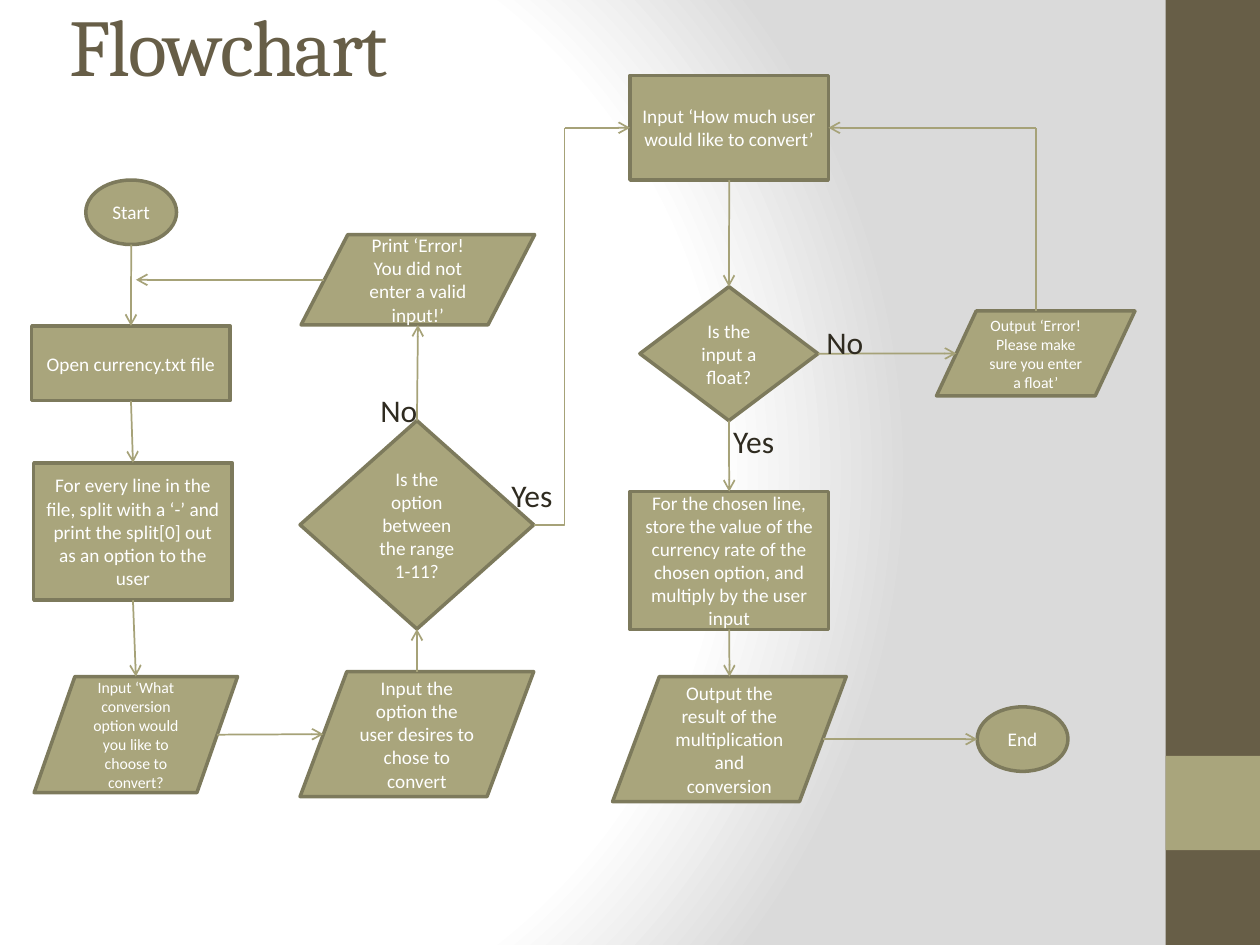
from dataclasses import dataclass

from lxml.etree import SubElement
from pptx import Presentation
from pptx.dml.color import RGBColor
from pptx.enum.shapes import MSO_CONNECTOR, MSO_SHAPE
from pptx.enum.text import MSO_ANCHOR, MSO_AUTO_SIZE, PP_ALIGN
from pptx.oxml import parse_xml
from pptx.oxml.ns import nsdecls, qn
from pptx.util import Cm, Pt


@dataclass(frozen=True)
class Theme:
    brown: str = "675E47"
    olive: str = "A9A57C"
    outline: str = "7D7A5C"
    arrow: str = "A6A278"
    ink: str = "2F2B20"
    white: str = "FFFFFF"
    grey: str = "DADADA"
    heading_font: str = "Cambria"
    body_font: str = "Calibri"
    title_size: int = 46
    label_size: int = 18
    node_size: int = 11
    small_size: int = 9


theme = Theme()
TOP, LEFT, BOTTOM, RIGHT = range(4)


def write(frame, text, font, size, color, align):
    """Fill a text frame, one paragraph per line of text."""
    frame.word_wrap = True
    for number, line in enumerate(text.split("\n")):
        para = frame.add_paragraph() if number else frame.paragraphs[0]
        para.alignment = align
        span = para.add_run()
        span.text = line
        span.font.name = font
        span.font.size = Pt(size)
        span.font.color.rgb = RGBColor.from_string(color)


def side_point(shape, side):
    """Middle of a side; the slanted sides of a parallelogram sit further in."""
    slanted = shape.auto_shape_type == MSO_SHAPE.FLOWCHART_DATA
    inset = 0.1 if slanted else 0
    across = {TOP: 0.5, LEFT: inset, BOTTOM: 0.5, RIGHT: 1 - inset}[side]
    down = {TOP: 0, LEFT: 0.5, BOTTOM: 1, RIGHT: 0.5}[side]
    return (int(shape.left + across * shape.width),
            int(shape.top + down * shape.height))


deck = Presentation()
deck.slide_width, deck.slide_height = Cm(25.4), Cm(19.05)
page = deck.slides.add_slide(deck.slide_layouts[5])

# Background: radial gradient from white to grey
page.background.fill.solid()
background = page.element.find(".//" + qn("p:bgPr"))
stops = [(0, theme.white), (75, theme.white), (100, theme.grey)]
stop_xml = "".join(
    f'<a:gs pos="{place * 1000}"><a:srgbClr val="{color}"/></a:gs>'
    for place, color in stops)
background.replace(background[0], parse_xml(
    f'<a:gradFill {nsdecls("a")} rotWithShape="1"><a:gsLst>{stop_xml}</a:gsLst>'
    '<a:path path="circle"><a:fillToRect l="20000" t="50000" r="100000" b="50000"/>'
    '</a:path></a:gradFill>'))

# Side band
for top, height, color in [(0, 19.05, theme.brown), (15.24, 1.9, theme.olive)]:
    band = page.shapes.add_shape(
        MSO_SHAPE.RECTANGLE, Cm(23.5), Cm(top), Cm(1.9), Cm(height))
    band.shadow.inherit = False
    band.fill.solid()
    band.fill.fore_color.rgb = RGBColor.from_string(color)
    band.line.fill.background()

# Title
title = page.shapes.title
title.left, title.top, title.width, title.height = Cm(1.14), Cm(-0.69), Cm(21.16), Cm(3.18)
title.text_frame.vertical_anchor = MSO_ANCHOR.MIDDLE
title.text_frame.auto_size = MSO_AUTO_SIZE.NONE
write(title.text_frame, "Flowchart", theme.heading_font, theme.title_size,
      theme.brown, PP_ALIGN.LEFT)
title.text_frame.paragraphs[0].runs[0].font._element.set("spc", "-100")

# Flowchart steps: name, kind, left, top, width, height, type size, text
terminal, process = MSO_SHAPE.FLOWCHART_CONNECTOR, MSO_SHAPE.RECTANGLE
decision, data = MSO_SHAPE.FLOWCHART_DECISION, MSO_SHAPE.FLOWCHART_DATA
normal, small = theme.node_size, theme.small_size
steps = [
    ("start", terminal, 1.73, 3.63, 1.83, 1.3, normal, "Start"),
    ("open", process, 0.64, 6.57, 4, 1.51, normal, "Open currency.txt file"),
    ("split", process, 0.68, 9.33, 4, 2.77, normal,
     "For every line in the file, split with a ‘-’ and print the split[0] out "
     "as an option to the user"),
    ("prompt", data, 0.69, 13.64, 4.1, 2.34, small,
     "Input ‘What conversion option would you like to choose to convert?"),
    ("choose", data, 6.05, 13.54, 4.71, 2.52, normal,
     "Input the option the user desires to chose to convert"),
    ("range", decision, 6.05, 8.48, 4.71, 4.2, normal,
     "Is the option between the range\n1-11?"),
    ("invalid", data, 6.07, 4.73, 4.71, 1.82, normal,
     "Print ‘Error! You did not enter a valid input!’"),
    ("amount", process, 12.7, 1.52, 4, 2.11, normal,
     "Input ‘How much user would like to convert’"),
    ("float", decision, 12.9, 5.78, 3.59, 2.7, normal, "Is the input a float?"),
    ("retry", data, 18.88, 6.27, 4, 1.71, small,
     "Output ‘Error! Please make sure you enter a float’"),
    ("store", process, 12.7, 9.91, 4, 2.78, normal,
     "For the chosen line, store the value of the currency rate of the chosen "
     "option, and multiply by the user input"),
    ("result", data, 12.35, 13.64, 4.71, 2.52, normal,
     "Output the result of the multiplication and conversion"),
    ("end", terminal, 19.7, 14.25, 1.83, 1.3, normal, "End"),
]
nodes = {}
for name, kind, left, top, width, height, size, text in steps:
    node = page.shapes.add_shape(kind, Cm(left), Cm(top), Cm(width), Cm(height))
    node.shadow.inherit = False
    node.fill.solid()
    node.fill.fore_color.rgb = RGBColor.from_string(theme.olive)
    node.line.color.rgb = RGBColor.from_string(theme.outline)
    node.line.width = Pt(2)
    node.text_frame.vertical_anchor = MSO_ANCHOR.MIDDLE
    write(node.text_frame, text, theme.body_font, size, theme.white, PP_ALIGN.CENTER)
    nodes[name] = node

# Arrows: each end is a step with its side, or a free point
amount_row = side_point(nodes["amount"], LEFT)[1]
yes_corner = (Cm(11.38), amount_row)
retry_corner = (side_point(nodes["retry"], TOP)[0], amount_row)
back_to_open = (Cm(2.74), side_point(nodes["invalid"], LEFT)[1])
straight, elbow = MSO_CONNECTOR.STRAIGHT, MSO_CONNECTOR.ELBOW
links = [
    (("invalid", LEFT), back_to_open, straight, True),
    (("start", BOTTOM), ("open", TOP), straight, True),
    (("open", BOTTOM), ("split", TOP), straight, True),
    (("split", BOTTOM), ("prompt", TOP), straight, True),
    (("prompt", RIGHT), ("choose", LEFT), straight, True),
    (("choose", TOP), ("range", BOTTOM), straight, True),
    (("range", TOP), ("invalid", BOTTOM), straight, True),
    (("range", RIGHT), yes_corner, elbow, False),
    (yes_corner, ("amount", LEFT), straight, True),
    (("amount", BOTTOM), ("float", TOP), straight, True),
    (("float", RIGHT), ("retry", LEFT), straight, True),
    (("retry", TOP), retry_corner, straight, False),
    (retry_corner, ("amount", RIGHT), straight, True),
    (("float", BOTTOM), ("store", TOP), straight, True),
    (("store", BOTTOM), ("result", TOP), straight, True),
    (("result", RIGHT), ("end", LEFT), straight, True),
]
for begin, end, kind, has_head in links:
    points = [side_point(nodes[spot[0]], spot[1]) if spot[0] in nodes else spot
              for spot in (begin, end)]
    link = page.shapes.add_connector(kind, *points[0], *points[1])
    for spot, connect in ((begin, link.begin_connect), (end, link.end_connect)):
        if spot[0] in nodes and nodes[spot[0]].auto_shape_type in (process, decision):
            connect(nodes[spot[0]], spot[1])
    link.line.color.rgb = RGBColor.from_string(theme.arrow)
    link.line.width = Pt(1)
    properties = link._element.spPr
    if kind == elbow:
        properties.find(qn("a:prstGeom")).set("prst", "bentConnector2")
    if has_head:
        SubElement(properties.find(qn("a:ln")), qn("a:tailEnd"), type="arrow")
    SubElement(properties, qn("a:effectLst"))

# Branch labels
for text, left, top in [("No", 7.42, 7.75), ("Yes", 10.06, 9.47),
                        ("No", 16.41, 6.38), ("Yes", 14.53, 8.38)]:
    label = page.shapes.add_textbox(Cm(left), Cm(top), Cm(2), Cm(1.03))
    label.text_frame.auto_size = MSO_AUTO_SIZE.SHAPE_TO_FIT_TEXT
    write(label.text_frame, text, theme.body_font, theme.label_size,
          theme.ink, PP_ALIGN.LEFT)

deck.save("out.pptx")
